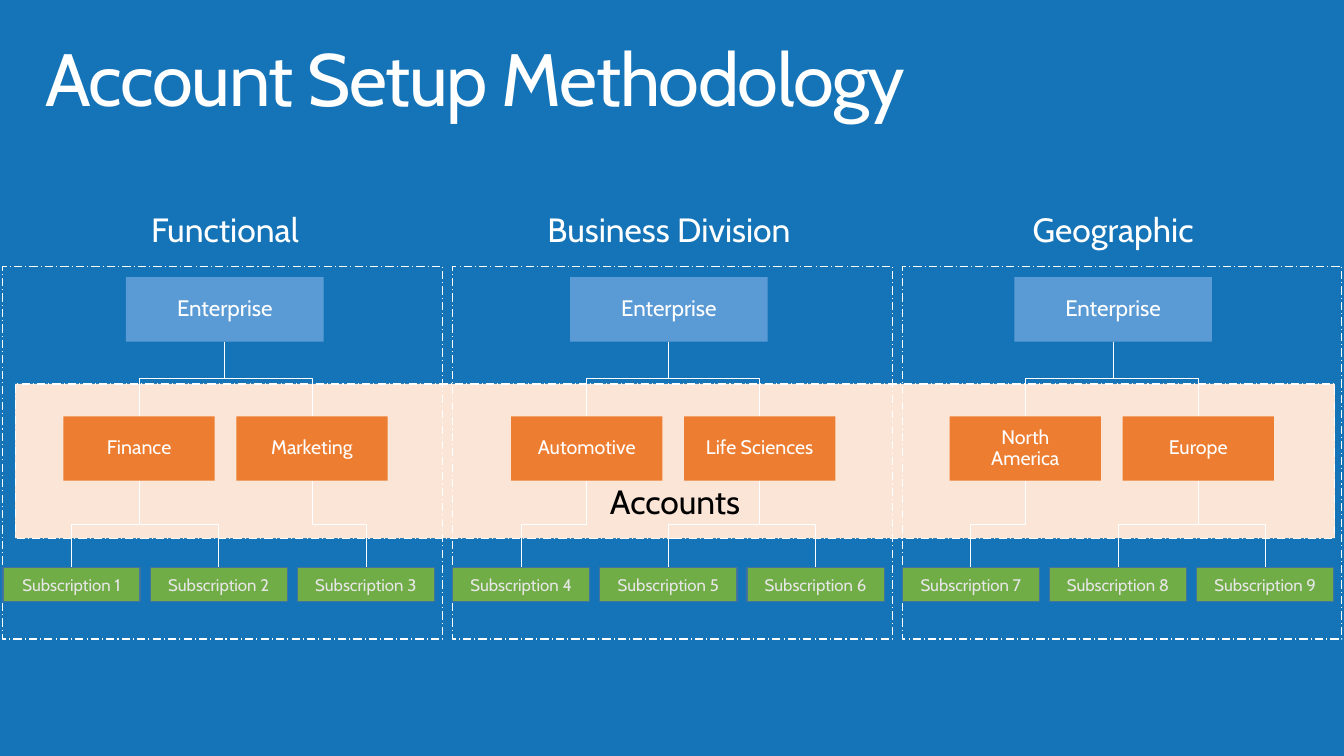
from lxml import etree
from pptx import Presentation
from pptx.dml.color import RGBColor
from pptx.enum.dml import MSO_LINE
from pptx.enum.shapes import MSO_CONNECTOR, MSO_SHAPE
from pptx.enum.text import MSO_ANCHOR, MSO_AUTO_SIZE, PP_ALIGN
from pptx.oxml.ns import qn
from pptx.util import Emu, Pt

RECT = MSO_SHAPE.RECTANGLE
ELBOW = MSO_CONNECTOR.ELBOW
DASH = MSO_LINE.LONG_DASH_DOT
LEFT, CENTER = PP_ALIGN.LEFT, PP_ALIGN.CENTER
TOP, MIDDLE, BOTTOM = MSO_ANCHOR.TOP, MSO_ANCHOR.MIDDLE, MSO_ANCHOR.BOTTOM
FIXED = MSO_AUTO_SIZE.NONE

SCALE = 9144  # one px is a hundredth of an inch
FONT = "Cabin"
BLUE = RGBColor(0x15, 0x74, 0xB8)
SKY = RGBColor(0x5B, 0x9B, 0xD5)
ORANGE = RGBColor(0xED, 0x7D, 0x31)
GREEN = RGBColor(0x70, 0xAD, 0x47)
NAVY = RGBColor(0x43, 0x73, 0x9E)
PEACH = RGBColor(0xFB, 0xE5, 0xD6)
GRAY = RGBColor(0xE7, 0xE6, 0xE6)
WHITE = RGBColor(0xFF, 0xFF, 0xFF)
BLACK = RGBColor(0, 0, 0)

WIDE = (20, 16)  # side and top text margins
TIGHT = (0, 5)

# Heading, its width, left of first account, accounts with subscription counts
GROUPS = [
    ("Functional", 195, 63, [("Finance", 2), ("Marketing", 1)]),
    ("Business Division", 293, 507, [("Automotive", 1), ("Life Sciences", 2)]),
    ("Geographic", 212, 942, [("North America", 1), ("Europe", 2)]),
]


def px(n):
    return Emu(round(n * SCALE))


def write(shape, text, size, color, pad=WIDE, anchor=MIDDLE,
          align=CENTER, space=0.9, wrap=True):
    frame = shape.text_frame
    frame.auto_size = FIXED
    frame.word_wrap = wrap
    frame.vertical_anchor = anchor
    frame.margin_left = frame.margin_right = px(pad[0])
    frame.margin_top = frame.margin_bottom = px(pad[1])
    para = frame.paragraphs[0]
    para.alignment = align
    para.line_spacing = space
    run = para.add_run()
    run.text = text
    run.font.name = FONT
    run.font.size = Pt(size)
    run.font.color.rgb = color
    return run


def add_box(slide, x, y, w, h, fill=None, line=None, width=0.75, dash=None):
    box = slide.shapes.add_shape(RECT, px(x), px(y), px(w), px(h))
    box.shadow.inherit = False
    if fill is None:
        box.fill.background()
    else:
        box.fill.solid()
        box.fill.fore_color.rgb = fill
    if line is None:
        box.line.fill.background()
    else:
        box.line.color.rgb = line
        box.line.width = Pt(width)
        box.line.dash_style = dash
    return box


def add_link(slide, top, low):
    """Join two boxes by an elbow that runs down, across and down."""
    x1, y1 = top.left + top.width // 2, top.top + top.height
    x2, y2 = low.left + low.width // 2, low.top
    link = slide.shapes.add_connector(ELBOW, x1, y1, x2, y2)
    link.begin_connect(top, 2)
    link.end_connect(low, 0)
    link.line.color.rgb = WHITE
    link.line.width = Pt(0.75)
    # The elbow starts sideways, so its frame is turned a quarter
    wide, high = y2 - y1, abs(x2 - x1)
    link.left, link.top = (x1 + x2 - wide) // 2, (y1 + y2 - high) // 2
    link.width, link.height = wide, high
    right = x2 > x1
    props = link._element.spPr
    turn = props.find(qn("a:xfrm"))
    turn.set("rot", str((270 if right else 90) * 60000))
    turn.set("flipH", "1" if right else "0")
    turn.set("flipV", "0")
    etree.SubElement(props, qn("a:effectLst"))


def add_title(slide, text):
    title = slide.shapes.title
    title.left, title.top = px(29), px(32)
    title.width, title.height = px(1262), px(98)
    run = write(title, text, 52.9, WHITE, (16, 10), TOP, LEFT)
    run.font._element.set("spc", "-100")


def add_head(slide, text, mid, w):
    head = slide.shapes.add_textbox(px(mid - w / 2), px(196), px(w), px(69))
    write(head, text, 24, WHITE, anchor=TOP, wrap=False)
    head.text_frame.paragraphs[0].space_after = Pt(6)


def add_group(slide, i, name, w, left, units):
    # Frame, heading and enterprise
    start = 3 + 446 * i
    add_box(slide, start, 264, 436, 370, line=WHITE, dash=DASH)
    root_x = 125 + 440.5 * i
    add_head(slide, name, root_x + 98, w)
    root = add_box(slide, root_x, 275, 196, 64, SKY)
    write(root, "Enterprise", 16, WHITE)

    # Accounts and their subscriptions
    col = 0
    for j, (label, count) in enumerate(units):
        unit = add_box(slide, left + 171.5 * j, 413, 150, 64, ORANGE)
        write(unit, label, 14, WHITE)
        add_link(slide, root, unit)
        for _ in range(count):
            sub = add_box(slide, start + 146 * col, 563, 136, 34,
                          GREEN, NAVY, 0.85)
            col += 1
            write(sub, f"Subscription {3 * i + col}", 12, GRAY, TIGHT, space=1)
            add_link(slide, unit, sub)


def main():
    deck = Presentation()
    deck.slide_width, deck.slide_height = px(1333), px(750)
    slide = deck.slides.add_slide(deck.slide_layouts[5])
    slide.background.fill.solid()
    slide.background.fill.fore_color.rgb = BLUE
    add_title(slide, "Account Setup Methodology")

    # Band behind all accounts
    band = add_box(slide, 15, 381, 1309, 153, PEACH, WHITE, dash=DASH)
    write(band, "Accounts", 24, BLACK, anchor=BOTTOM)

    for i, group in enumerate(GROUPS):
        add_group(slide, i, *group)
    deck.save("out.pptx")


if __name__ == "__main__":
    main()
